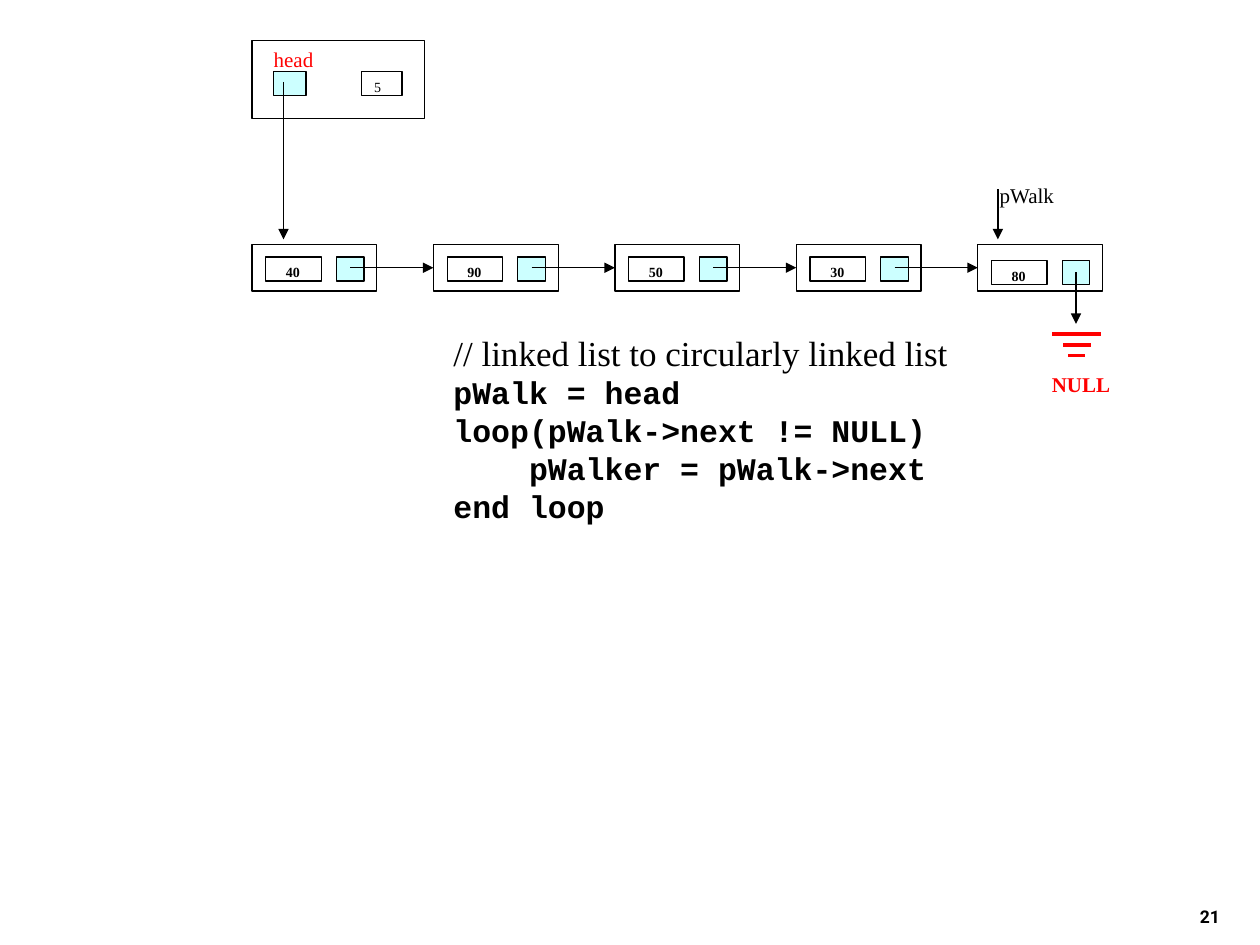
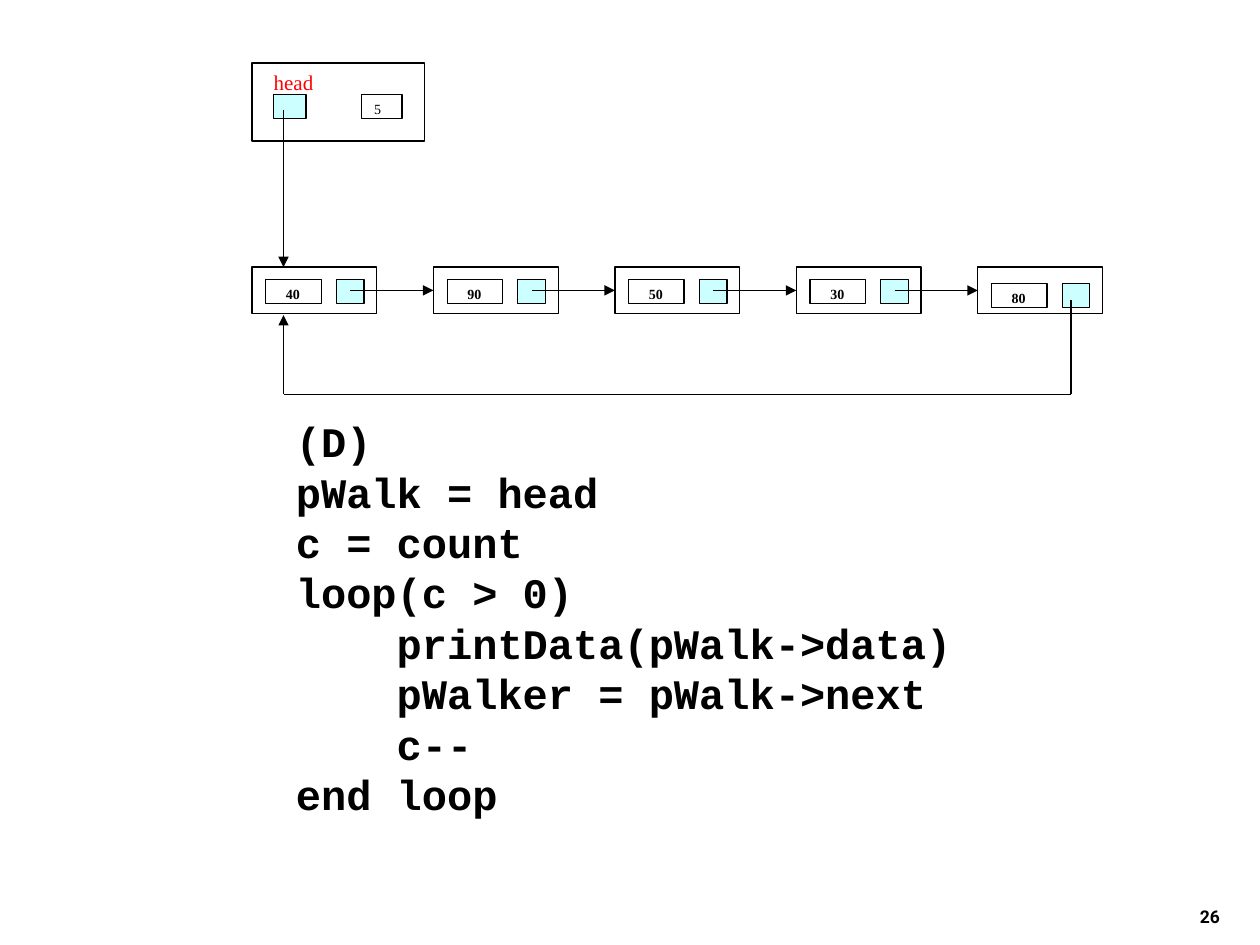
from dataclasses import dataclass

from lxml import etree
from pptx import Presentation
from pptx import util as u
from pptx.dml.color import RGBColor
from pptx.enum import shapes, text
from pptx.oxml import ns
from pptx.shapes.autoshape import Shape
from pptx.shapes.connector import Connector
from pptx.slide import Slide


@dataclass(frozen=True)
class Style:
    font: str
    size: float
    color: RGBColor
    bold: bool = False


class Theme:
    black = RGBColor(0, 0, 0)
    white = RGBColor(255, 255, 255)
    red = RGBColor(255, 0, 0)
    pointer = RGBColor(0xCC, 0xFF, 0xFF)
    line = 0.75
    ground_line = 2
    serif, mono = "Times New Roman", "Courier New"

    number = Style("Roboto", 10, black, True)
    comment = Style(serif, 20, black)
    code = Style(mono, 18, black, True)
    large_code = Style(mono, 24, black, True)
    count = Style(serif, 8, black)
    value = Style(serif, 8, black, True)
    label = Style(serif, 12, black)
    head = Style(serif, 12, red)
    null = Style(serif, 12, red, True)


@dataclass(frozen=True)
class Box:
    left: float
    top: float
    width: float
    height: float


@dataclass(frozen=True)
class Line:
    text: str
    style: Style


VALUES = (40, 90, 50, 30, 80)
LIST_LEFT, NODE_STEP = 2, 1.44
NODE_WIDTH, NODE_HEIGHT, CELL_HEIGHT = 0.99, 0.37, 0.19
HEADER_TO_LIST = 1.62
HEAD_X = 2.25


# Basic elements
def write(shape: Shape, lines: list[Line], align: text.PP_ALIGN = text.PP_ALIGN.LEFT,
          anchor: text.MSO_ANCHOR = text.MSO_ANCHOR.TOP, wrap: bool = True,
          indent: float = 0.1) -> None:
    frame = shape.text_frame
    frame.word_wrap = wrap
    frame.vertical_anchor = anchor
    frame.margin_left = u.Inches(indent)
    if not wrap:
        frame.auto_size = text.MSO_AUTO_SIZE.SHAPE_TO_FIT_TEXT
    for index, line in enumerate(lines):
        paragraph = frame.add_paragraph() if index else frame.paragraphs[0]
        paragraph.text = line.text
        paragraph.alignment = align
        paragraph.font.name = line.style.font
        paragraph.font.size = u.Pt(line.style.size)
        paragraph.font.bold = line.style.bold
        paragraph.font.color.rgb = line.style.color


def add_rectangle(slide: Slide, box: Box, fill: RGBColor = Theme.white,
                  outlined: bool = True) -> Shape:
    shape = slide.shapes.add_shape(
        shapes.MSO_SHAPE.RECTANGLE, u.Inches(box.left), u.Inches(box.top),
        u.Inches(box.width), u.Inches(box.height))
    shape.shadow.inherit = False
    shape.fill.solid()
    shape.fill.fore_color.rgb = fill
    if outlined:
        shape.line.color.rgb = Theme.black
        shape.line.width = u.Pt(Theme.line)
    else:
        shape.line.fill.background()
    return shape


def add_label(slide: Slide, box: Box, line: Line,
              align: text.PP_ALIGN = text.PP_ALIGN.CENTER,
              anchor: text.MSO_ANCHOR = text.MSO_ANCHOR.TOP, wrap: bool = False) -> None:
    shape = slide.shapes.add_textbox(
        u.Inches(box.left), u.Inches(box.top), u.Inches(box.width), u.Inches(box.height))
    write(shape, [line], align, anchor, wrap)


def add_line(slide: Slide, start: tuple[float, float], end: tuple[float, float],
             arrow: bool = True, color: RGBColor = Theme.black,
             width: float = Theme.line) -> Connector:
    connector = slide.shapes.add_connector(
        shapes.MSO_CONNECTOR.STRAIGHT, *(u.Inches(value) for value in start + end))
    connector.line.color.rgb = color
    connector.line.width = u.Pt(width)
    if arrow:
        tail = etree.SubElement(connector.get_or_add_ln(), ns.qn("a:tailEnd"))
        tail.set("type", "triangle")
    etree.SubElement(connector._element.spPr, ns.qn("a:effectLst"))
    return connector


# Shared parts of the slides
def add_slide(presentation: Presentation, number: int) -> Slide:
    slide = presentation.slides.add_slide(presentation.slide_layouts[6])
    add_label(slide, Box(7.7, 6.91, 2.08, 0.5), Line(str(number), Theme.number),
              text.PP_ALIGN.RIGHT, text.MSO_ANCHOR.BOTTOM, wrap=True)
    return slide


def add_code(slide: Slide, box: Box, lines: list[Line]) -> None:
    write(add_rectangle(slide, box, outlined=False), lines)


def add_header(slide: Slide, top: float) -> None:
    add_rectangle(slide, Box(2, top, 1.37, 0.62))
    count = add_rectangle(slide, Box(2.87, top + 0.25, 0.32, CELL_HEIGHT))
    write(count, [Line("5", Theme.count)])
    add_rectangle(slide, Box(2.17, top + 0.25, 0.26, CELL_HEIGHT), Theme.pointer)
    add_label(slide, Box(2.03, top, 0.6, 0.3), Line("head", Theme.head))


def add_node(slide: Slide, left: float, top: float, value: int, cell_offset: float) -> Shape:
    node = add_rectangle(slide, Box(left, top, NODE_WIDTH, NODE_HEIGHT))
    cell_top = top + cell_offset
    data = add_rectangle(slide, Box(left + 0.11, cell_top, 0.44, CELL_HEIGHT))
    write(data, [Line(str(value), Theme.value)], indent=0.16)
    add_rectangle(slide, Box(left + 0.67, cell_top, 0.22, CELL_HEIGHT), Theme.pointer)
    return node


def add_linked_list(slide: Slide, header_top: float) -> None:
    add_header(slide, header_top)
    top = header_top + HEADER_TO_LIST
    middle = top + NODE_HEIGHT / 2
    nodes = []
    for index, value in enumerate(VALUES):
        # The last node holds its cells slightly lower
        cell_offset = 0.13 if index == len(VALUES) - 1 else 0.1
        nodes.append(add_node(slide, LIST_LEFT + index * NODE_STEP, top, value, cell_offset))
    for index, following in enumerate(nodes[1:]):
        left = LIST_LEFT + index * NODE_STEP
        link = add_line(slide, (left + 0.78, middle), (left + NODE_STEP, middle))
        link.end_connect(following, 1)


# Slides
def build_linear_slide(presentation: Presentation) -> None:
    slide = add_slide(presentation, 21)
    code = ("pWalk = head", "loop(pWalk->next != NULL)",
            "    pWalker = pWalk->next", "end loop")
    add_code(slide, Box(3.5, 2.58, 4.38, 2.12),
             [Line("// linked list to circularly linked list", Theme.comment)]
             + [Line(row, Theme.code) for row in code])
    add_linked_list(slide, 0.32)
    add_line(slide, (HEAD_X, 0.65), (HEAD_X, 1.9))

    # Walking pointer
    add_line(slide, (7.92, 1.5), (7.92, 1.9))
    add_label(slide, Box(7.8, 1.4, 0.7, 0.3), Line("pWalk", Theme.label))

    # Ground symbol of the last pointer
    add_line(slide, (8.54, 2.16), (8.54, 2.57))
    for left, right, y in ((8.35, 8.74, 2.65), (8.44, 8.66, 2.74), (8.48, 8.61, 2.82)):
        add_line(slide, (left, y), (right, y), False, Theme.red, Theme.ground_line)
    add_label(slide, Box(8.25, 2.9, 0.7, 0.3), Line("NULL", Theme.null),
              text.PP_ALIGN.LEFT)


def build_circular_slide(presentation: Presentation) -> None:
    slide = add_slide(presentation, 26)
    code = ("(D)", "pWalk = head", "c = count", "loop(c > 0)",
            "    printData(pWalk->data)", "    pWalker = pWalk->next",
            "    c--", "end loop")
    add_code(slide, Box(2.25, 3.25, 6.83, 3.58),
             [Line(row, Theme.large_code) for row in code])
    add_linked_list(slide, 0.5)
    add_line(slide, (HEAD_X, 0.87), (HEAD_X, 2.12))

    # Link from the last node back to the first
    corners = [(8.5, 2.38), (8.5, 3.13), (HEAD_X, 3.13), (HEAD_X, 2.5)]
    for index, (start, end) in enumerate(zip(corners, corners[1:])):
        add_line(slide, start, end, arrow=index == len(corners) - 2)


def main() -> None:
    presentation = Presentation()
    presentation.slide_width = u.Inches(10)
    presentation.slide_height = u.Inches(7.5)
    build_linear_slide(presentation)
    build_circular_slide(presentation)
    presentation.save("out.pptx")


if __name__ == "__main__":
    main()
